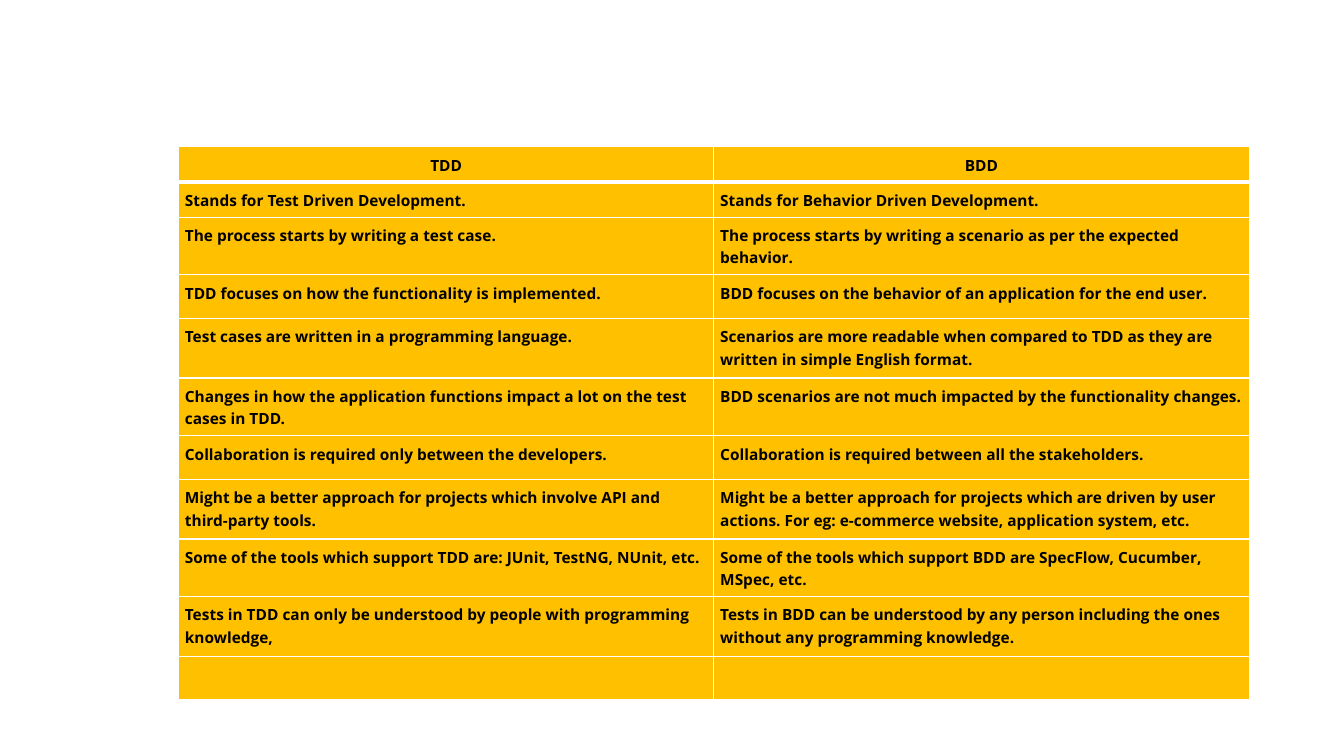
"""Build a slide with a table that compares TDD with BDD."""
from dataclasses import dataclass

from pptx import Presentation
from pptx.dml.color import RGBColor
from pptx.enum.text import MSO_ANCHOR, PP_ALIGN
from pptx.oxml import parse_xml
from pptx.oxml.ns import nsdecls
from pptx.table import Table, _Cell
from pptx.util import Cm, Pt

AMBER = RGBColor(0xFF, 0xC0, 0x00)
BLACK = RGBColor(0x00, 0x00, 0x00)
WHITE = RGBColor(0xFF, 0xFF, 0xFF)

COLUMN_WIDTH = Cm(13.49)
THIN, THICK = Pt(1), Pt(3)
FONT_FORMAT = {"name": "Open Sans", "size": Pt(11), "bold": True}
MARGIN_FORMAT = {f"margin_{side}": Cm(0.16) for side in ("left", "right", "top", "bottom")}


@dataclass(frozen=True)
class ComparisonRow:
    height: float
    tdd: str = ""
    bdd: str = ""


ROWS = [
    ComparisonRow(0.71, "TDD", "BDD"),
    ComparisonRow(0.71, "Stands for Test Driven Development.",
                  "Stands for Behavior Driven Development."),
    ComparisonRow(1.12, "The process starts by writing a test case.",
                  "The process starts by writing a scenario as per the expected behavior."),
    ComparisonRow(1.1, "TDD focuses on how the functionality is implemented.",
                  "BDD focuses on the behavior of an application for the end user."),
    ComparisonRow(1.5, "Test cases are written in a programming language.",
                  "Scenarios are more readable when compared to TDD as they are "
                  "written in simple English format."),
    ComparisonRow(1.14, "Changes in how the application functions impact a lot on the "
                  "test cases in TDD.",
                  "BDD scenarios are not much impacted by the functionality changes."),
    ComparisonRow(1.1, "Collaboration is required only between the developers.",
                  "Collaboration is required between all the stakeholders."),
    ComparisonRow(1.5, "Might be a better approach for projects which involve API and "
                  "third-party tools.",
                  "Might be a better approach for projects which are driven by user "
                  "actions. For eg: e-commerce website, application system, etc."),
    ComparisonRow(1.12, "Some of the tools which support TDD are: JUnit, TestNG, NUnit, etc.",
                  "Some of the tools which support BDD are SpecFlow, Cucumber, MSpec, etc."),
    ComparisonRow(1.5, "Tests in TDD can only be understood by people with programming "
                  "knowledge,",
                  "Tests in BDD can be understood by any person including the ones "
                  "without any programming knowledge."),
    ComparisonRow(1.1),
]


def apply_format(target: object, values: dict) -> None:
    for name, value in values.items():
        setattr(target, name, value)


def draw_borders(cell: _Cell, top: int, bottom: int) -> None:
    properties = cell._tc.get_or_add_tcPr()
    for side, width in {"L": THIN, "R": THIN, "T": top, "B": bottom}.items():
        properties.append(parse_xml(
            f'<a:ln{side} {nsdecls("a")} w="{width}"><a:solidFill>'
            f'<a:srgbClr val="{WHITE}"/></a:solidFill></a:ln{side}>'))


def fill_cell(cell: _Cell, text: str, row_index: int) -> None:
    is_header = row_index == 0
    draw_borders(cell, THICK if row_index == 1 else THIN, THICK if is_header else THIN)
    cell.fill.solid()
    cell.fill.fore_color.rgb = AMBER
    if not text:
        return
    apply_format(cell, MARGIN_FORMAT)
    cell.vertical_anchor = MSO_ANCHOR.MIDDLE if is_header else MSO_ANCHOR.TOP
    para = cell.text_frame.paragraphs[0]
    para.alignment = PP_ALIGN.CENTER if is_header else PP_ALIGN.LEFT
    para.line_spacing = 1.07
    span = para.add_run()
    span.text = text
    apply_format(span.font, FONT_FORMAT)
    span.font.color.rgb = BLACK


def fill_table(table: Table) -> None:
    table.horz_banding = False
    for column in table.columns:
        column.width = COLUMN_WIDTH
    for row_index, content in enumerate(ROWS):
        row = table.rows[row_index]
        row.height = Cm(content.height)
        for cell, text in zip(row.cells, (content.tdd, content.bdd)):
            fill_cell(cell, text, row_index)


def main() -> None:
    deck = Presentation()
    deck.slide_width, deck.slide_height = Cm(33.87), Cm(19.05)
    page = deck.slides.add_slide(deck.slide_layouts[6])
    height = Cm(sum(row.height for row in ROWS))
    frame = page.shapes.add_table(len(ROWS), 2, Cm(4.5), Cm(3.7), 2 * COLUMN_WIDTH, height)
    fill_table(frame.table)
    deck.save("out.pptx")


if __name__ == "__main__":
    main()
